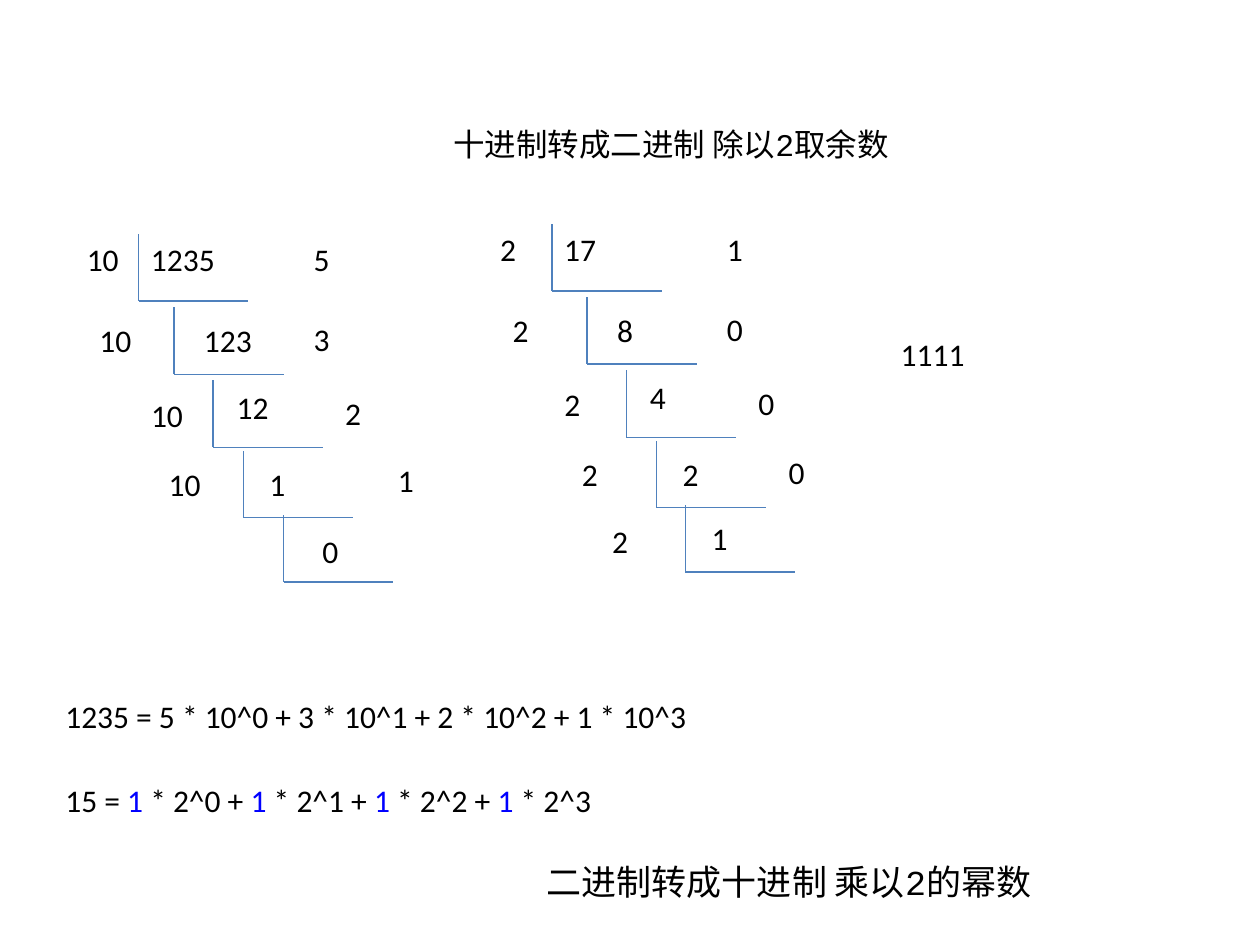
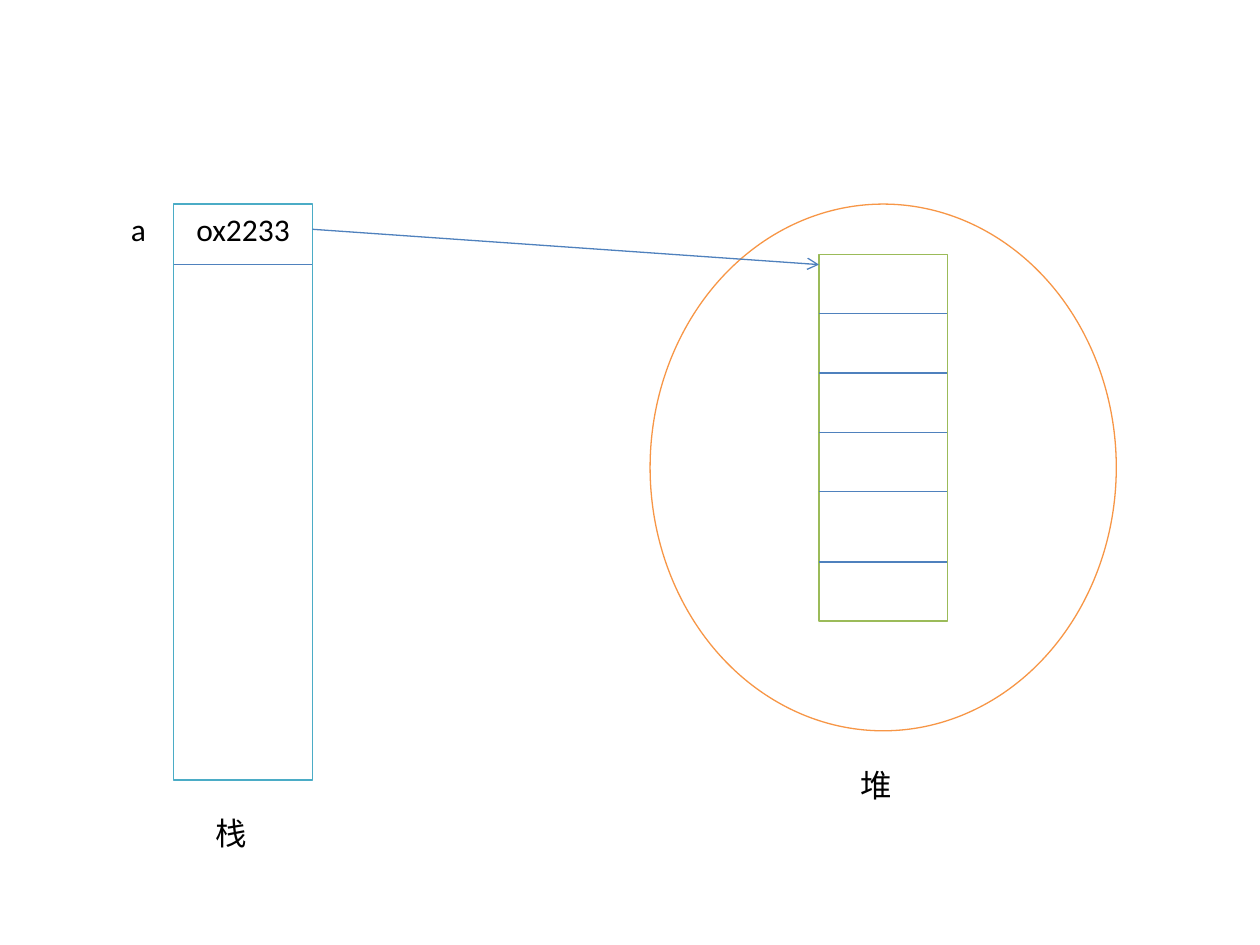
from lxml import etree
from pptx import Presentation
from pptx.dml.color import RGBColor
from pptx.enum.shapes import MSO_CONNECTOR, MSO_SHAPE
from pptx.oxml.ns import qn
from pptx.util import Inches, Pt

RECT, OVAL = MSO_SHAPE.RECTANGLE, MSO_SHAPE.OVAL
STRAIGHT = MSO_CONNECTOR.STRAIGHT

# The slide is a grid of 10 columns by 7.5 rows of square cells.
COLS, ROWS = 10, 7.5
CELL = Inches(1)

BLACK, WHITE, BLUE = "000000", "FFFFFF", "0000FF"
LINE, STACK, HEAP, CELLS = "4F81BD", "4BACC6", "F79646", "9BBB59"
BODY_FONT, TITLE_FONT = "Calibri", "Courier New"
TEXT_H = 0.4

# Places within a division ladder, counted from its top left corner.
BRACKETS = [(0, 0), (0.28, 0.58), (0.59, 1.16), (0.83, 1.72)]
DIVISORS = [(-0.51, 0), (-0.41, 0.64), (0, 1.23), (0.14, 1.78), (0.38, 2.31)]
DIVIDENDS = [(0, 0), (0.42, 0.64), (0.68, 1.17), (0.94, 1.78)]
REMAINDERS = [(1.29, 0), (1.29, 0.63), (1.54, 1.22)]
BRACKET_W, BRACKET_H = 0.87, 0.53
NUMBER_W = 0.51


def grid(*cells):
    return [round(n * CELL) for n in cells]


def rgb(color):
    return RGBColor.from_string(color)


def add_text(s, x, y, w, *runs, font=BODY_FONT, size=18):
    """Add a one-line box; each run is a string or a (string, colour) pair."""
    tf = s.shapes.add_textbox(*grid(x, y, w, TEXT_H)).text_frame
    tf.word_wrap = True
    p = tf.paragraphs[0]
    p.font.name, p.font.size = font, Pt(size)
    for run in runs:
        text, color = (run, BLACK) if isinstance(run, str) else run
        r = p.add_run()
        r.text = text
        r.font.color.rgb = rgb(color)


def add_line(s, x1, y1, x2, y2, arrow=False):
    line = s.shapes.add_connector(STRAIGHT, *grid(x1, y1, x2, y2))
    line.line.color.rgb = rgb(LINE)
    line.line.width = Pt(0.75)
    if arrow:
        etree.SubElement(line.line._get_or_add_ln(), qn("a:tailEnd"), type="arrow")
    etree.SubElement(line._element.spPr, qn("a:effectLst"))


def add_outline(s, kind, x, y, w, h, color):
    sp = s.shapes.add_shape(kind, *grid(x, y, w, h))
    sp.shadow.inherit = False
    sp.fill.solid()
    sp.fill.fore_color.rgb = rgb(WHITE)
    sp.line.color.rgb = rgb(color)
    sp.line.width = Pt(0.75)


def add_ladder(s, x, y, base, divisions, dividends, remainders,
               last_bracket, last_dividend, last_remainder):
    """Draw a repeated division; only its last steps differ in place."""
    for dx, dy in BRACKETS + [last_bracket]:
        left, bottom = x + dx, y + dy + BRACKET_H
        add_line(s, left, y + dy, left, bottom)
        add_line(s, left, bottom, left + BRACKET_W, bottom)
    columns = [
        ([base] * divisions, DIVISORS, NUMBER_W),
        (dividends, DIVIDENDS + [last_dividend], BRACKET_W),
        (remainders, REMAINDERS + [last_remainder], NUMBER_W),
    ]
    for numbers, places, width in columns:
        for number, (dx, dy) in zip(numbers, places):
            add_text(s, x + dx, y + dy, width, number)


def add_conversion_slide(s):
    add_text(s, 3.5, 0.94, 3.86, "十进制转成二进制 除以2取余数", font=TITLE_FONT)
    add_ladder(s, 1.1, 1.86, "10", 4, ["1235", "123", "12", "1", "0"], "5321",
               (1.15, 2.23), (1.36, 2.31), (1.96, 1.75))
    add_ladder(s, 4.38, 1.78, "2", 5, ["17", "8", "4", "2", "1"], "1000",
               (1.06, 2.23), (1.17, 2.29), (1.78, 1.77))
    add_text(s, 7.05, 2.61, 1.42, "1111")
    add_text(s, 0.42, 5.48, 5.65, "1235 = 5 * 10^0 + 3 * 10^1 + 2 * 10^2 + 1 * 10^3")
    bit = ("1", BLUE)
    add_text(s, 0.42, 6.15, 5.65, "15 = ", bit, " * 2^0 + ", bit, " * 2^1 + ",
             bit, " * 2^2 + ", bit, " * 2^3")
    add_text(s, 4.24, 6.78, 4.85, "二进制转成十进制 乘以2的幂数",
             font=TITLE_FONT, size=20)


def add_memory_slide(s):
    stack_x, stack_w, top = 1.38, 1.1, 1.62
    add_outline(s, RECT, stack_x, top, stack_w, 4.57, STACK)
    add_line(s, stack_x, 2.1, stack_x + stack_w, 2.1)
    add_text(s, 0.94, top, 0.35, "a")
    add_text(s, 1.46, top, 1.61, "ox2233")
    add_text(s, 1.61, 6.41, 1.1, "栈")

    heap_x, heap_y, heap_w, cell_h = 6.5, 2.02, 1.02, 0.47
    add_outline(s, OVAL, 5.16, top, 3.7, 4.18, HEAP)
    add_outline(s, RECT, heap_x, heap_y, heap_w, 2.91, CELLS)
    for y in [heap_y + cell_h * i for i in range(1, 5)] + [4.46]:
        add_line(s, heap_x, y, heap_x + heap_w, y)
    add_text(s, 6.73, 6.03, 1.1, "堆")
    add_line(s, stack_x + stack_w, 1.82, heap_x, 2.1, arrow=True)


def main():
    prs = Presentation()
    prs.slide_width, prs.slide_height = grid(COLS, ROWS)
    blank = prs.slide_layouts[6]
    for fill_slide in (add_conversion_slide, add_memory_slide):
        fill_slide(prs.slides.add_slide(blank))
    prs.save("out.pptx")


if __name__ == "__main__":
    main()
